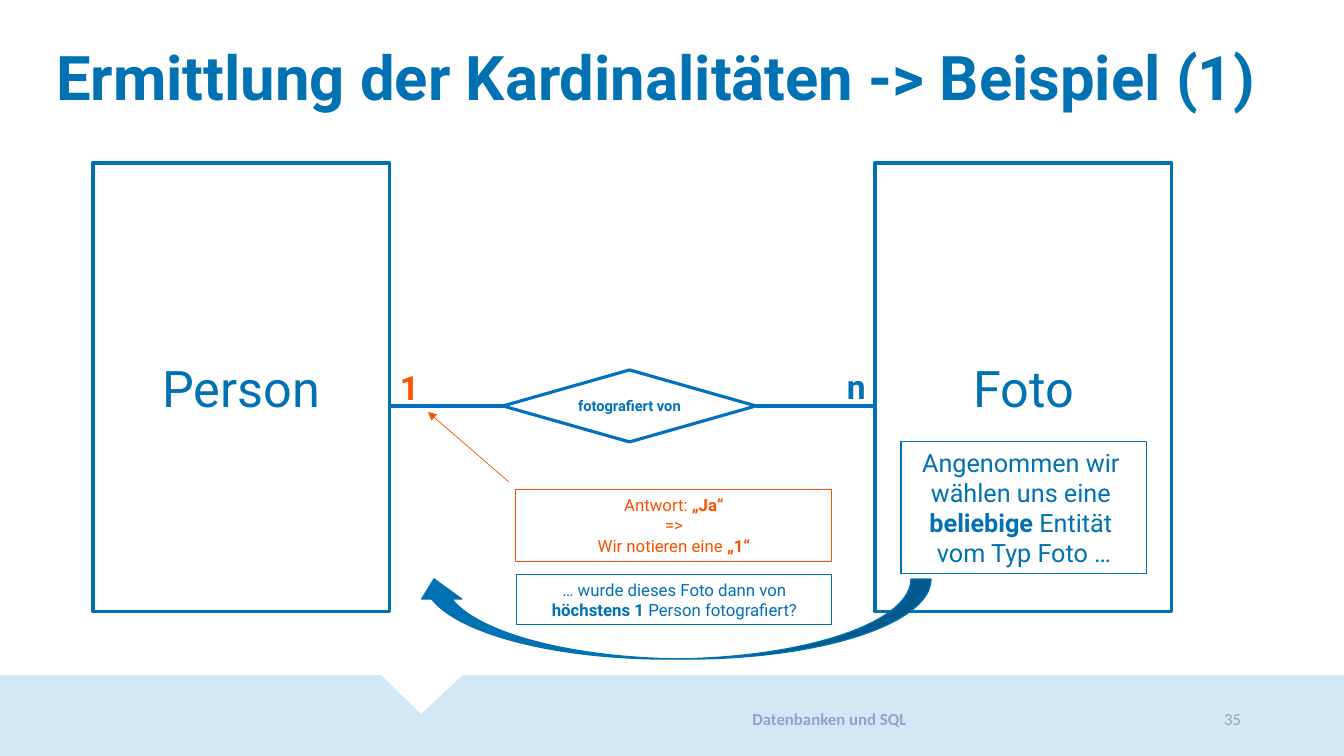
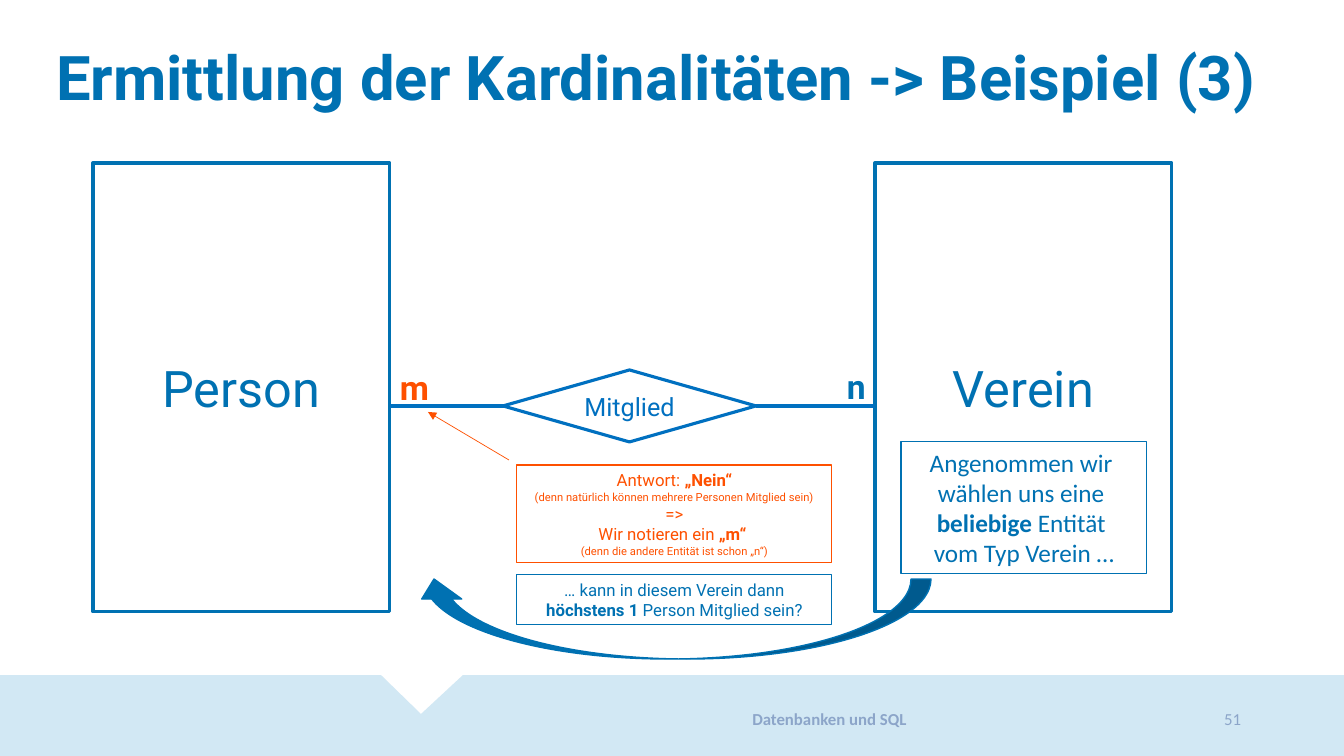
from lxml import etree
from pptx import Presentation
from pptx import util as u
from pptx.dml.color import RGBColor
from pptx.enum import shapes, text
from pptx.oxml.ns import qn

PX = 914400 / 100.8
BLUE, LINK, ORANGE, BAND, GREY = "0071B2", "0070C0", "FE5000", "D2E8F4", "8CA5C9"
LEFT, CENTER, RIGHT = text.PP_ALIGN.LEFT, text.PP_ALIGN.CENTER, text.PP_ALIGN.RIGHT
TOP, MIDDLE = text.MSO_ANCHOR.TOP, text.MSO_ANCHOR.MIDDLE
RECTANGLE = shapes.MSO_SHAPE.RECTANGLE


def colour(value):
    return RGBColor.from_string(value)


def place(page, kind, spot, paragraphs, tint, line=0, font="Roboto",
          anchor=MIDDLE, align=CENTER, wrap=True):
    area = [round(value * PX) for value in spot]
    if kind is None:
        box = page.shapes.add_textbox(*area)
    else:
        box = page.shapes.add_shape(kind, *area)
        box.shadow.inherit = False
        box.fill.background()
        box.line.color.rgb = colour(tint)
        box.line.width = u.Pt(line)
    frame = box.text_frame
    frame.word_wrap = wrap
    frame.vertical_anchor = anchor
    for index, spans in enumerate(paragraphs):
        para = frame.add_paragraph() if index else frame.paragraphs[0]
        para.alignment = align
        for words, size, bold in spans:
            span = para.add_run()
            span.text = words
            span.font.name = font
            span.font.size = u.Pt(size)
            span.font.bold = bold
            span.font.color.rgb = colour(tint)
    return box


examples = [
    {
        "title": "Ermittlung der Kardinalitäten -> Beispiel (1)",
        "number": "35",
        "entity": "Foto",
        "relation": ("fotografiert von", 10.5, True),
        "choice_font": "Roboto",
        "question": ("… wurde dieses Foto dann von", "Person fotografiert?"),
        "answer_spot": (516, 490, 316, 72),
        "answer": [
            [("Antwort: ", 12, False), ("„Ja“", 12, True)],
            [("=>", 12, False)],
            [("Wir notieren eine ", 12, False), ("„1“", 12, True)],
        ],
        "arrow_start": 482,
        "cardinality": "1",
        "cardinality_width": 38,
    },
    {
        "title": "Ermittlung der Kardinalitäten -> Beispiel (3)",
        "number": "51",
        "entity": "Verein",
        "relation": ("Mitglied", 18, False),
        "choice_font": "Calibri",
        "question": ("… kann in diesem Verein dann", "Person Mitglied sein?"),
        "answer_spot": (517, 465, 315, 98),
        "answer": [
            [("Antwort: ", 12, False), ("„Nein“", 12, True)],
            [("(denn natürlich können mehrere Personen Mitglied sein)", 8, False)],
            [("=>", 12, False)],
            [("Wir notieren ein ", 12, False), ("„m“ ", 12, True)],
            [("(denn die andere Entität ist schon „n“)", 8, False)],
        ],
        "arrow_start": 460,
        "cardinality": "m",
        "cardinality_width": 49,
    },
]

deck = Presentation()
deck.slide_width = round(1344 * PX)
deck.slide_height = round(756 * PX)

for example in examples:
    page = deck.slides.add_slide(deck.slide_layouts[5])

    outline = page.shapes.build_freeform(0, 675, scale=PX)
    outline.add_line_segments(
        [(381, 675), (421, 714), (463, 675), (1344, 675), (1344, 756), (0, 756)])
    band = outline.convert_to_shape()
    band.shadow.inherit = False
    band.fill.solid()
    band.fill.fore_color.rgb = colour(BAND)
    band.line.fill.background()

    title = page.shapes.title
    title.left, title.top, title.width, title.height = [
        round(value * PX) for value in (46, 41, 1227, 80)]
    title.text_frame.vertical_anchor = MIDDLE
    para = title.text_frame.paragraphs[0]
    para.alignment = LEFT
    para.line_spacing = 0.9
    span = para.add_run()
    span.text = example["title"]
    span.font.name = "Roboto"
    span.font.size = u.Pt(44)
    span.font.bold = True
    span.font.color.rgb = colour(BLUE)

    place(page, None, (591, 696, 477, 45), [[("Datenbanken und SQL", 12, True)]],
          GREY, font="Calibri")
    place(page, None, (1067, 696, 184, 45), [[(example["number"], 12, False)]],
          GREY, font="Calibri", align=RIGHT)

    for left, entity in ((93, "Person"), (875, example["entity"])):
        place(page, RECTANGLE, (left, 163, 297, 449), [[(entity, 36, False)]], BLUE, 2.25)
    place(page, shapes.MSO_SHAPE.DIAMOND, (503, 370, 253, 72),
          [[example["relation"]]], LINK, 2.25)

    for ends, tint, width, pointed in (
            ((875, 406, 756, 406), LINK, 2.25, False),
            ((509, 406, 390, 406), LINK, 2.25, False),
            ((509, example["arrow_start"], 428, 412), ORANGE, 0.5, True)):
        link = page.shapes.add_connector(
            shapes.MSO_CONNECTOR.STRAIGHT, *[round(value * PX) for value in ends])
        link.line.color.rgb = colour(tint)
        link.line.width = u.Pt(width)
        properties = link.element.spPr
        if pointed:
            etree.SubElement(properties.find(qn("a:ln")), qn("a:tailEnd"), type="triangle")
        etree.SubElement(properties, qn("a:effectLst"))

    place(page, RECTANGLE, (901, 442, 246, 132), [
        [("Angenommen wir ", 18, False)],
        [("wählen uns eine ", 18, False)],
        [("beliebige", 18, True), (" Entität ", 18, False)],
        [(f"vom Typ {example['entity']} …", 18, False)],
    ], BLUE, 0.75, font=example["choice_font"], anchor=TOP)

    arrow = place(page, shapes.MSO_SHAPE.CURVED_DOWN_ARROW, (414, 579, 517, 80), [], BLUE, 1)
    arrow.rotation = 180
    arrow.fill.solid()
    arrow.fill.fore_color.rgb = colour(BLUE)

    opening, ending = example["question"]
    place(page, RECTANGLE, (517, 575, 315, 50), [
        [(opening, 12, False)],
        [("höchstens 1 ", 12, True), (ending, 12, False)],
    ], BLUE, 0.75, anchor=TOP)
    place(page, RECTANGLE, example["answer_spot"], example["answer"], ORANGE, 0.75, anchor=TOP)

    for left, top, width, letter, tint in (
            (837, 361, 39, "n", BLUE),
            (390, 362, example["cardinality_width"], example["cardinality"], ORANGE)):
        place(page, None, (left, top, width, 50), [[(letter, 24, True)]], tint,
              anchor=TOP, align=LEFT, wrap=False)

deck.save("out.pptx")
